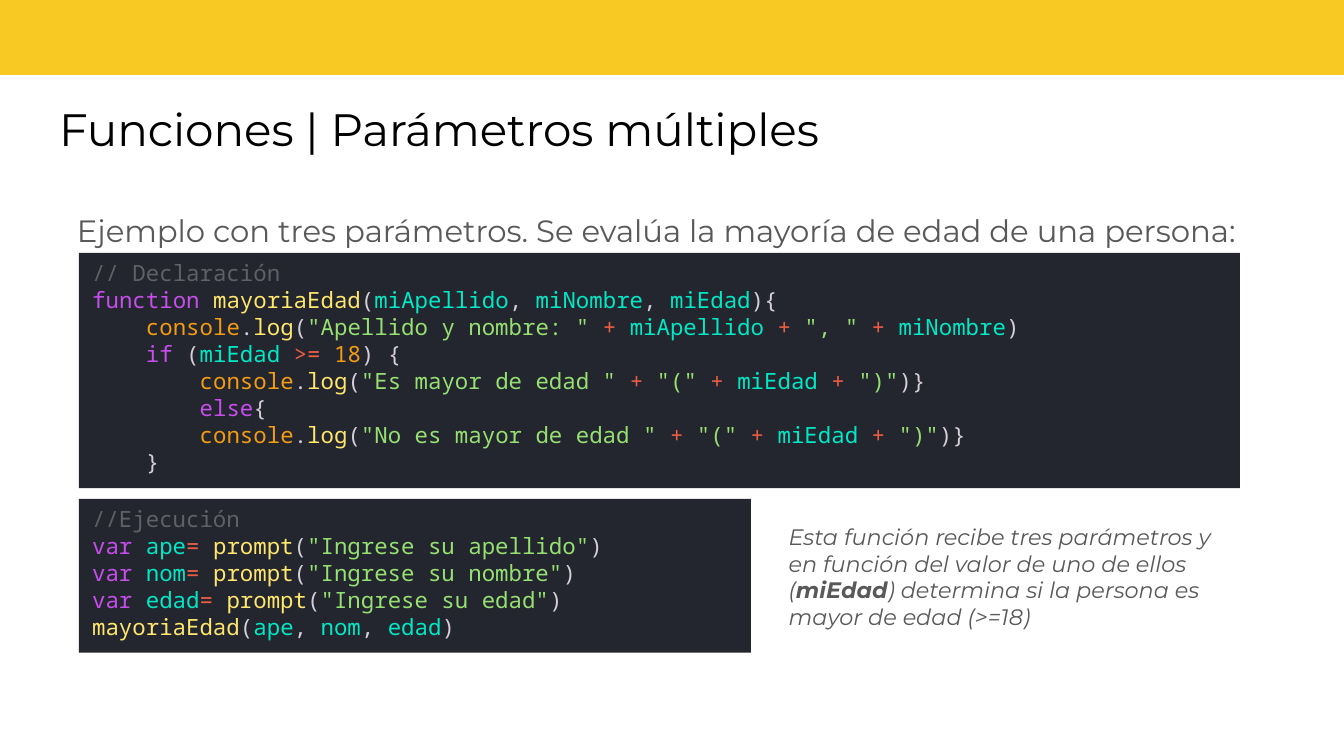
"""Build the slide on functions with several parameters."""
from dataclasses import dataclass
from itertools import groupby

import pptx
import pptx.dml.color
import pptx.enum.shapes
import pptx.enum.text
import pptx.util

Pt = pptx.util.Pt


@dataclass(frozen=True)
class Theme:
    sans: str = "Montserrat"
    mono: str = "Noto Sans Mono"
    title_size: float = 24.3
    lead_size: float = 16.5
    text_size: float = 12
    indent: float = 28.8
    band: str = "F8C823"
    title: str = "000000"
    text: str = "595959"
    panel: str = "23262E"
    comment: str = "5F6167"
    keyword: str = "C74DED"
    function: str = "FFE66D"
    variable: str = "00E8C6"
    constant: str = "F39C12"
    string: str = "96E072"
    operator: str = "EE5D43"
    punctuation: str = "D5CED9"


@dataclass(frozen=True)
class Box:
    left: float
    top: float
    width: float
    height: float

    def lengths(self) -> list:
        return [Pt(v) for v in (self.left, self.top, self.width, self.height)]


@dataclass(frozen=True)
class Line:
    code: str
    level: int = 0


@dataclass(frozen=True)
class Panel:
    box: Box
    lines: tuple


THEME = Theme()
WORDS = {
    **dict.fromkeys(("function", "if", "else", "var"), THEME.keyword),
    **dict.fromkeys(("mayoriaEdad", "log", "prompt"), THEME.function),
    **dict.fromkeys(("console", "18"), THEME.constant),
}
PANELS = (
    Panel(Box(42.3, 135.5, 622, 126), (
        Line("// Declaración"),
        Line("function mayoriaEdad(miApellido, miNombre, miEdad){"),
        Line('console.log("Apellido y nombre: " + miApellido + ", " + miNombre)', 1),
        Line("if (miEdad >= 18) {", 1),
        Line('console.log("Es mayor de edad " + "(" + miEdad + ")")}', 2),
        Line("else{", 2),
        Line('console.log("No es mayor de edad " + "(" + miEdad + ")")}', 2),
        Line("}", 1),
    )),
    Panel(Box(42.3, 267.3, 360, 82.3), (
        Line("//Ejecución"),
        Line('var ape= prompt("Ingrese su apellido")'),
        Line('var nom= prompt("Ingrese su nombre")'),
        Line('var edad= prompt("Ingrese su edad")'),
        Line("mayoriaEdad(ape, nom, edad)"),
    )),
)


def rgb(color: str):
    return pptx.dml.color.RGBColor.from_string(color)


def style(r, font: str, size: float, color: str) -> None:
    r.font.name = font
    r.font.size = Pt(size)
    r.font.color.rgb = rgb(color)


def set_frame(tf, side: float, end: float, anchor) -> None:
    tf.word_wrap = True
    tf.auto_size = pptx.enum.text.MSO_AUTO_SIZE.NONE
    tf.margin_left = tf.margin_right = Pt(side)
    tf.margin_top = tf.margin_bottom = Pt(end)
    tf.vertical_anchor = anchor


def char_color(char: str) -> str:
    if char.isalnum():
        return THEME.variable
    return THEME.operator if char in "+>=" else THEME.punctuation


def tokens(code: str) -> list:
    if code.startswith("//"):
        return [(code, THEME.comment)]
    found = []
    for i, part in enumerate(code.split('"')):
        if i % 2:
            found.append((f'"{part}"', THEME.string))
            continue
        for color, chars in groupby(part, char_color):
            word = "".join(chars)
            found.append((word, WORDS.get(word, color)))
    return found


def add_rect(s, box: Box, color: str):
    sp = s.shapes.add_shape(pptx.enum.shapes.MSO_SHAPE.RECTANGLE, *box.lengths())
    sp.shadow.inherit = False
    sp.fill.solid()
    sp.fill.fore_color.rgb = rgb(color)
    sp.line.fill.background()
    return sp


def add_panel(s, panel: Panel) -> None:
    tf = add_rect(s, panel.box, THEME.panel).text_frame
    set_frame(tf, 7.2, 3.6, pptx.enum.text.MSO_ANCHOR.TOP)
    for i, line in enumerate(panel.lines):
        p = tf.add_paragraph() if i else tf.paragraphs[0]
        p.alignment = pptx.enum.text.PP_ALIGN.LEFT
        p._p.get_or_add_pPr().set("marL", str(Pt(THEME.indent * line.level)))
        for text, color in tokens(line.code):
            r = p.add_run()
            r.text = text
            style(r, THEME.mono, THEME.text_size, color)


def fill_placeholder(sp, box: Box, text: str, size: float, color: str, spacing: float) -> None:
    sp.left, sp.top, sp.width, sp.height = box.lengths()
    tf = sp.text_frame
    tf.text = text
    set_frame(tf, 7.2, 7.2, pptx.enum.text.MSO_ANCHOR.TOP)
    p = tf.paragraphs[0]
    p.alignment = pptx.enum.text.PP_ALIGN.LEFT
    p.line_spacing = spacing
    p.space_before = Pt(0)
    pPr = p._p.get_or_add_pPr()
    pPr.set("marL", "0")
    pPr.set("indent", "0")
    pPr.append(pptx.oxml.parse_xml(
        '<a:buNone xmlns:a="http://schemas.openxmlformats.org/drawingml/2006/main"/>'))
    style(p.runs[0], THEME.sans, size, color)


def add_note(s, box: Box) -> None:
    tf = s.shapes.add_textbox(*box.lengths()).text_frame
    set_frame(tf, 7.2, 7.2, pptx.enum.text.MSO_ANCHOR.TOP)
    for text, bold in (
        ("Esta función recibe tres parámetros y en función del valor de uno de ellos (", False),
        ("miEdad", True),
        (") determina si la persona es mayor de edad (>=18)", False),
    ):
        r = tf.paragraphs[0].add_run()
        r.text = text
        style(r, THEME.sans, THEME.text_size, THEME.text)
        r.font.italic = True
        r.font.bold = bold


def main() -> None:
    prs = pptx.Presentation()
    prs.slide_width, prs.slide_height = Pt(720), Pt(405)
    s = prs.slides.add_slide(prs.slide_layouts[1])
    add_rect(s, Box(-0.7, -3.6, 722, 43.8), THEME.band)
    fill_placeholder(s.shapes.title, Box(24.5, 46.8, 670, 45.4),
                     "Funciones | Parámetros múltiples",
                     THEME.title_size, THEME.title, 1.0)
    fill_placeholder(s.placeholders[1], Box(34, 103, 652, 33),
                     "Ejemplo con tres parámetros. Se evalúa la mayoría de edad de una persona:",
                     THEME.lead_size, THEME.text, 1.15)
    for panel in PANELS:
        add_panel(s, panel)
    add_note(s, Box(415.4, 272.9, 258.5, 72))
    prs.save("out.pptx")


if __name__ == "__main__":
    main()
